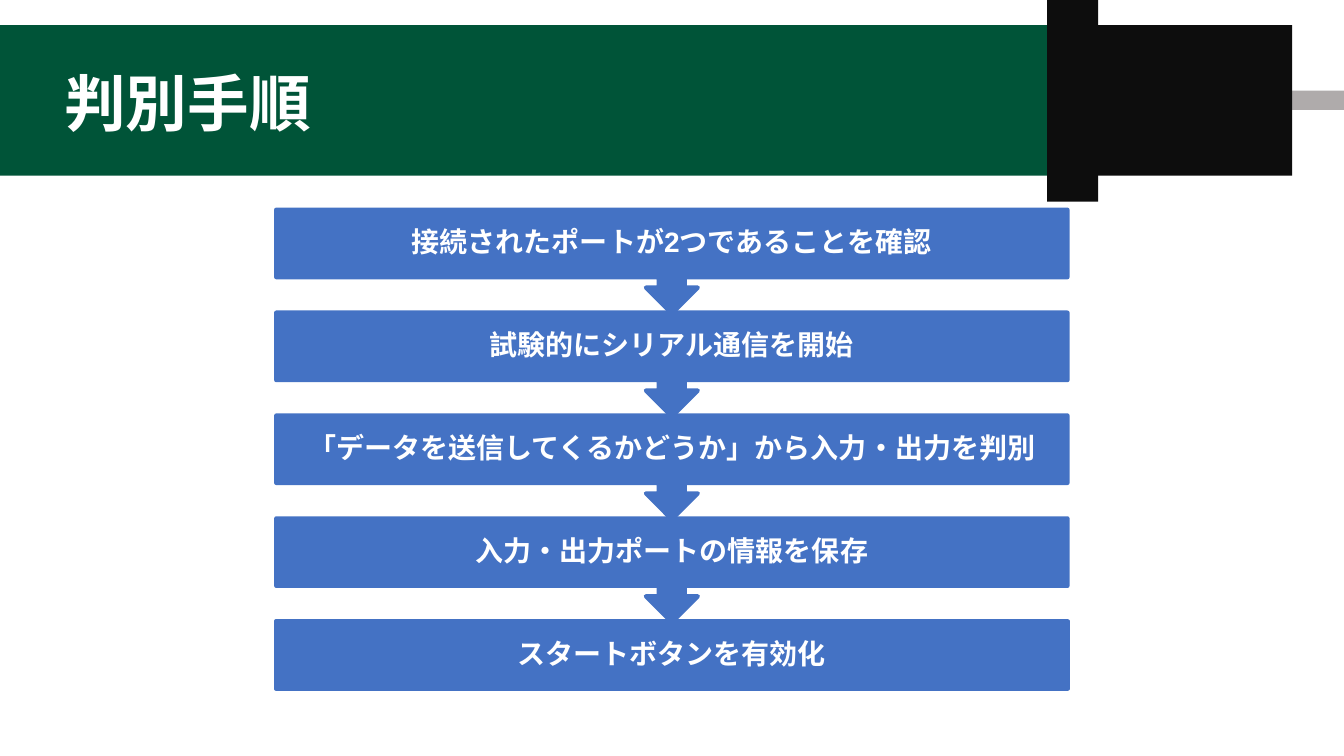
from dataclasses import dataclass

import pptx
import pptx.dml.color
import pptx.enum.shapes
import pptx.enum.text
import pptx.oxml.ns
import pptx.util
from lxml import etree

Pt = pptx.util.Pt
MSO_SHAPE = pptx.enum.shapes.MSO_SHAPE
PP_ALIGN = pptx.enum.text.PP_ALIGN

FONT = "Arial"
WHITE = "FFFFFF"
BLUE = "4472C4"
BLACK = "0D0D0D"

STEP_LEFT, STEP_TOP, STEP_WIDTH = 197.3, 149.8, 565.2
STEP_PITCH, BODY_HEIGHT, CALLOUT_HEIGHT = 73.5, 48.2, 74.2
STEP_INSET = 11.2


@dataclass
class Block:
    left: float
    top: float
    width: float
    height: float
    color: str


PLUG = [
    Block(0, 18, 748, 107.5, "005438"),
    Block(748, 0, 36.5, 144, BLACK),
    Block(900, 64.8, 60, 13.7, "AFABAB"),
    Block(784, 18, 139, 107.5, BLACK),
]

STEPS = [
    "接続されたポートが2つであることを確認",
    "試験的にシリアル通信を開始",
    "「データを送信してくるかどうか」から入力・出力を判別",
    "入力・出力ポートの情報を保存",
    "スタートボタンを有効化",
]


def rgb(color: str) -> pptx.dml.color.RGBColor:
    return pptx.dml.color.RGBColor.from_string(color)


def add_block(s, block: Block, kind=MSO_SHAPE.RECTANGLE):
    sp = s.shapes.add_shape(
        kind, Pt(block.left), Pt(block.top), Pt(block.width), Pt(block.height)
    )
    sp.shadow.inherit = False
    sp.fill.solid()
    sp.fill.fore_color.rgb = rgb(block.color)
    sp.line.fill.background()
    return sp


def write(tf, text: str, size: float, align) -> None:
    tf.word_wrap = True
    tf.vertical_anchor = pptx.enum.text.MSO_ANCHOR.MIDDLE
    p = tf.paragraphs[0]
    p.text = text
    p.alignment = align
    p.line_spacing = 0.9
    p.font.name = FONT
    p.font.size = Pt(size)
    p.font.bold = True
    p.font.color.rgb = rgb(WHITE)
    latin = p.font._element.find(pptx.oxml.ns.qn("a:latin"))
    ea = etree.Element(pptx.oxml.ns.qn("a:ea"), typeface=FONT)
    latin.addnext(ea)


def add_title(s, text: str) -> None:
    sp = s.shapes.add_textbox(Pt(38.9), Pt(23.8), Pt(828), Pt(104.4))
    write(sp.text_frame, text, 44, PP_ALIGN.LEFT)


def add_step(s, index: int, text: str) -> None:
    last = index == len(STEPS) - 1
    kind = MSO_SHAPE.RECTANGLE if last else MSO_SHAPE.DOWN_ARROW_CALLOUT
    height = BODY_HEIGHT if last else CALLOUT_HEIGHT
    top = STEP_TOP + index * STEP_PITCH
    sp = add_block(s, Block(STEP_LEFT, top, STEP_WIDTH, height, BLUE), kind)
    sp.line.color.rgb = rgb(BLUE)
    sp.line.width = Pt(3)
    tf = sp.text_frame
    tf.margin_left = tf.margin_right = Pt(STEP_INSET)
    tf.margin_top = tf.margin_bottom = Pt(STEP_INSET)
    write(tf, text, 20, PP_ALIGN.CENTER)


def main() -> None:
    prs = pptx.Presentation()
    prs.slide_width, prs.slide_height = Pt(960), Pt(540)
    s = prs.slides.add_slide(prs.slide_layouts[6])
    for block in PLUG:
        add_block(s, block)
    add_title(s, "判別手順")
    for index, text in reversed(list(enumerate(STEPS))):
        add_step(s, index, text)
    prs.save("out.pptx")


if __name__ == "__main__":
    main()
